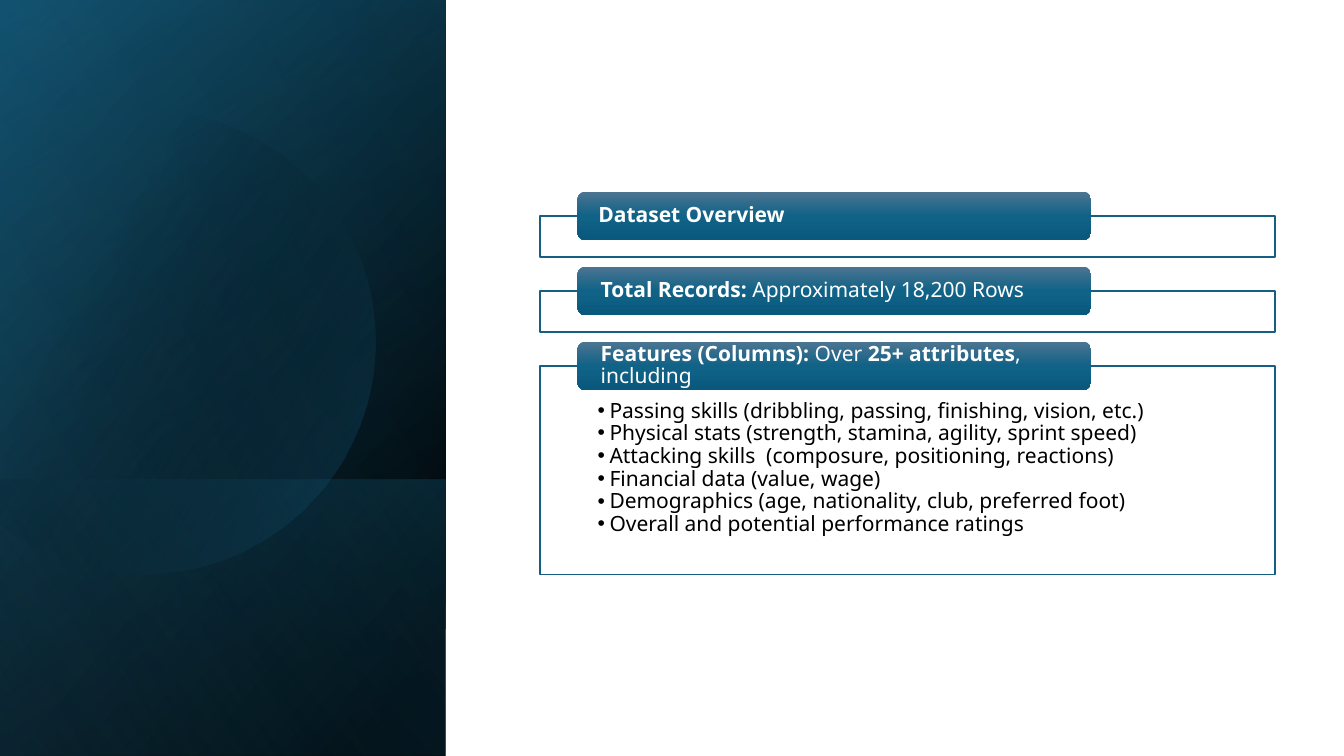
from dataclasses import dataclass
from math import acos, cos, pi, sin

from lxml.etree import SubElement
from pptx import Presentation
from pptx.dml.color import RGBColor
from pptx.enum.shapes import MSO_SHAPE
from pptx.enum.text import MSO_ANCHOR, MSO_AUTO_SIZE, PP_ALIGN
from pptx.oxml.ns import qn
from pptx.util import Cm, Pt


@dataclass(frozen=True)
class Theme:
    font: str = "Noto Sans"
    text_size: float = 15
    line_width: float = 1
    black: str = "000000"
    white: str = "FFFFFF"
    navy: str = "104862"
    blue: str = "156082"
    sky: str = "46B1E1"
    pill_top: str = "4C7591"
    pill_middle: str = "106287"
    pill_bottom: str = "09597D"


theme = Theme()


def paint(shape, stops, angle=None):
    """Fill with (position, colour, opacity) stops; without an angle, use the first as a solid."""
    shape.shadow.inherit = False
    shape.line.fill.background()
    properties = shape.element.spPr
    if angle is None:
        fill = SubElement(properties, qn("a:solidFill"))
        holders = [fill]
    else:
        fill = SubElement(properties, qn("a:gradFill"), rotWithShape="1")
        stop_list = SubElement(fill, qn("a:gsLst"))
        holders = [SubElement(stop_list, qn("a:gs"), pos=str(stop[0] * 1000)) for stop in stops]
        SubElement(fill, qn("a:lin"), ang=str(angle * 60000), scaled="0")
    for holder, (_, color, opacity) in zip(holders, stops):
        color_element = SubElement(holder, qn("a:srgbClr"), val=color)
        if opacity < 100:
            SubElement(color_element, qn("a:alpha"), val=str(opacity * 1000))
    properties[1].addnext(fill)


def write(paragraph, runs, color):
    paragraph.alignment = PP_ALIGN.LEFT
    paragraph.line_spacing = 0.9
    paragraph.space_before = paragraph.space_after = Pt(0)
    for text, bold in runs:
        run = paragraph.add_run()
        run.text = text
        run.font.name = theme.font
        run.font.size = Pt(theme.text_size)
        run.font.bold = bold
        run.font.color.rgb = RGBColor.from_string(color)


presentation = Presentation()
presentation.slide_width, presentation.slide_height = Cm(33.87), Cm(19.05)
slide = presentation.slides.add_slide(presentation.slide_layouts[1])
shapes = slide.shapes
title, body = shapes.title, slide.placeholders[1]

# Left panel: turned gradient layers, with a disc below the last one
panel_width, panel_height = 11.23, 19.05
layers = [
    (panel_height, 50, [(8, theme.black, 100), (100, theme.navy, 100)]),
    (panel_height, 30, [(0, theme.black, 0), (99, theme.blue, 46)]),
    (6.96, 130, [(2, theme.blue, 29), (100, theme.black, 30)]),
    (panel_height, 120, [(0, theme.black, 0), (99, theme.sky, 11)]),
]
for index, (height, angle, stops) in enumerate(layers):
    if index == len(layers) - 1:
        # Disc cut off at the slide's left edge, in hundredths of a centimetre
        center_x, center_y, radius, steps = 363, 861, 584, 120
        reach = acos(-center_x / radius)
        angles = [reach * (2 * step / steps - 1) for step in range(steps + 1)]
        points = [(center_x + radius * cos(a), center_y + radius * sin(a)) for a in angles]
        builder = shapes.build_freeform(*points[0], scale=Cm(0.01))
        builder.add_line_segments(points[1:], close=True)
        disc = builder.convert_to_shape()
        paint(disc, [(29, theme.black, 0), (100, theme.blue, 43)], 30)
    layer = shapes.add_shape(
        MSO_SHAPE.RECTANGLE,
        Cm((panel_width - height) / 2),
        Cm(panel_height - (height + panel_width) / 2),
        Cm(height),
        Cm(panel_width),
    )
    layer.rotation = 90
    layer.element.spPr.xfrm.set("flipH", "1")
    paint(layer, stops, angle)

# Right side: three framed sections, each with a heading pill
first_top, pitch, pill_height = 4.83, 1.89, 1.22
pill_left, pill_width, pill_inset = 14.55, 12.95, 0.53
sections = [
    (1.04, [("Dataset Overview", True)]),
    (1.04, [("Total Records:", True), (" Approximately 18,200 Rows", False)]),
    (5.26, [("Features (Columns):", True), (" Over ", False),
            ("25+ attributes", True), (", including", False)]),
]
features = [
    "Passing skills (dribbling, passing, finishing, vision, etc.)",
    "Physical stats (strength, stamina, agility, sprint speed)",
    "Attacking skills  (composure, positioning, reactions)",
    "Financial data (value, wage)",
    "Demographics (age, nationality, club, preferred foot)",
    "Overall and potential performance ratings",
]
for index, (box_height, heading) in enumerate(sections):
    top = first_top + index * pitch
    box = shapes.add_shape(
        MSO_SHAPE.RECTANGLE, Cm(13.61), Cm(top + pill_height / 2), Cm(18.52), Cm(box_height)
    )
    paint(box, [(0, theme.white, 90)])
    box.line.color.rgb = RGBColor.from_string(theme.blue)
    box.line.width = Pt(theme.line_width)

    if index == len(sections) - 1:
        body.left, body.top, body.width, body.height = box.left, box.top, box.width, box.height
        box.element.addnext(body.element)
        frame = body.text_frame
        frame.auto_size = MSO_AUTO_SIZE.NONE
        frame.margin_left = frame.margin_right = Cm(1.45)
        frame.margin_top, frame.margin_bottom = Cm(0.86), Cm(0.3)
        for number, feature in enumerate(features):
            paragraph = frame.add_paragraph() if number else frame.paragraphs[0]
            write(paragraph, [(feature, False)], theme.black)
            paragraph_properties = paragraph._p.get_or_add_pPr()
            paragraph_properties.set("marL", str(Cm(0.3)))
            paragraph_properties.set("indent", str(-Cm(0.3)))
            SubElement(paragraph_properties, qn("a:buChar"), char="•")

    pill = shapes.add_shape(
        MSO_SHAPE.ROUNDED_RECTANGLE, Cm(pill_left), Cm(top), Cm(pill_width), Cm(pill_height)
    )
    paint(pill, [(0, theme.pill_top, 100), (50, theme.pill_middle, 100),
                 (100, theme.pill_bottom, 100)], 90)
    label = pill
    if index == 0:
        label = title
        title.left, title.top, title.width, title.height = (
            pill.left, pill.top, pill.width, pill.height
        )
        pill.element.addnext(title.element)
    frame = label.text_frame
    frame.auto_size = MSO_AUTO_SIZE.NONE
    frame.word_wrap = True
    frame.vertical_anchor = MSO_ANCHOR.MIDDLE
    frame.margin_left = frame.margin_right = Cm(pill_inset)
    frame.margin_top = frame.margin_bottom = Cm(0)
    write(frame.paragraphs[0], heading, theme.white)

presentation.save("out.pptx")
